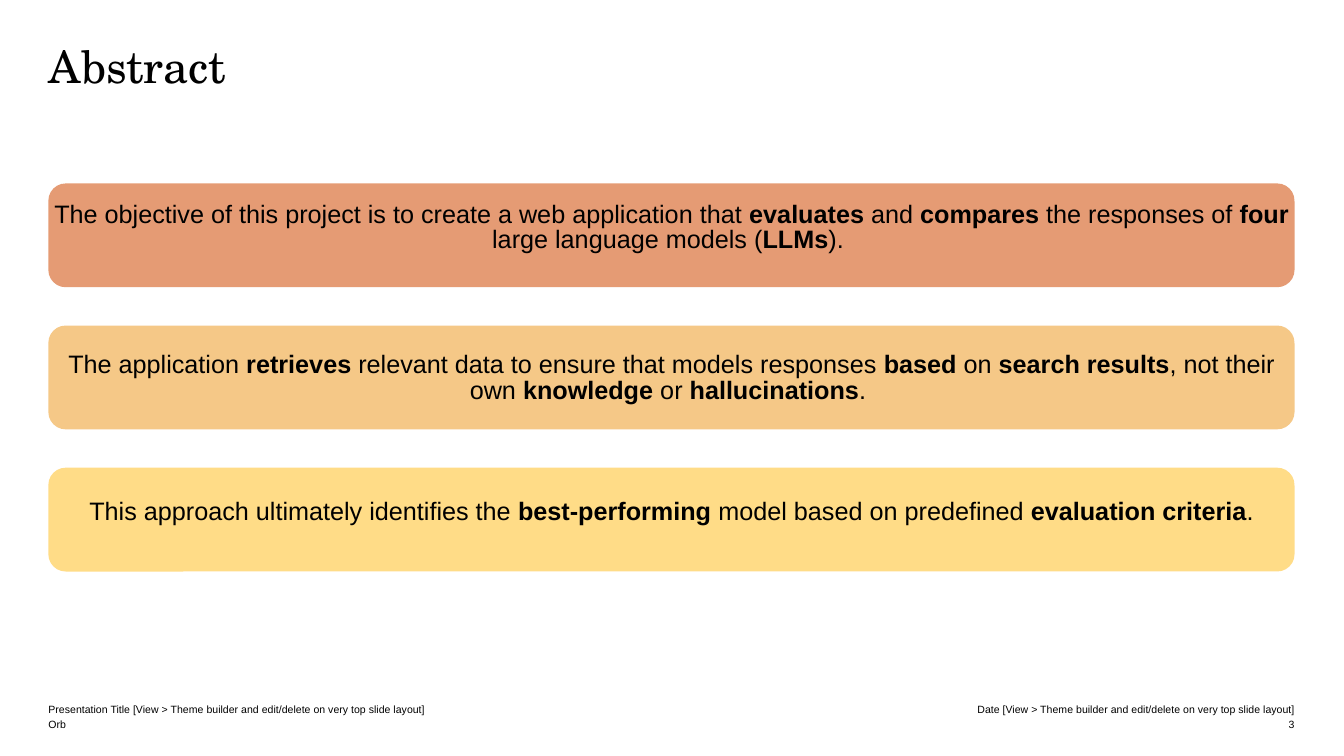
from dataclasses import dataclass

from lxml.etree import SubElement
from pptx import Presentation
from pptx.dml.color import RGBColor
from pptx.enum.shapes import MSO_SHAPE
from pptx.enum.text import MSO_ANCHOR, MSO_AUTO_SIZE, PP_ALIGN
from pptx.oxml.ns import qn
from pptx.slide import Slide
from pptx.text.text import TextFrame
from pptx.util import Inches, Pt


@dataclass(frozen=True)
class Theme:
    text: RGBColor = RGBColor(0x00, 0x00, 0x00)
    orange: RGBColor = RGBColor(0xD0, 0x4A, 0x02)
    tangerine: RGBColor = RGBColor(0xEB, 0x8C, 0x00)
    yellow: RGBColor = RGBColor(0xFF, 0xB6, 0x00)
    title_font: str = "TeX Gyre Schola"
    body_font: str = "Arial"
    title_size: float = 32
    body_size: float = 18
    footer_size: float = 7.5
    line_spacing: float = 0.85


@dataclass(frozen=True)
class Box:
    left: float
    top: float
    width: float
    height: float

    def lengths(self) -> tuple[int, ...]:
        return tuple(Inches(v) for v in (self.left, self.top, self.width, self.height))


@dataclass(frozen=True)
class Statement:
    """Text marks bold words with asterisks."""
    text: str
    color: RGBColor
    opacity: int
    text_offset: float


@dataclass(frozen=True)
class FooterItem:
    text: str
    row: int
    on_right: bool = False


THEME = Theme()

# Grid, in inches
SLIDE_WIDTH, SLIDE_HEIGHT = 13.33, 7.5
MARGIN, CONTENT_WIDTH = 0.48, 12.36
CARD_TOP, CARD_PITCH, CARD_HEIGHT = 1.82, 1.41, 1.03
CARD_TEXT_HEIGHT = 0.73
FOOTER_TOP, FOOTER_ROW = 6.95, 0.15
FOOTER_LEFT_WIDTH, FOOTER_RIGHT_WIDTH = 5.99, 3.86

STATEMENTS = [
    Statement("The objective of this project is to create a web application that *evaluates* and "
              "*compares* the responses of *four* large language models (*LLMs*). ",
              THEME.orange, 55, 0.19),
    Statement("The application *retrieves* relevant data to ensure that models responses *based* on "
              "*search results*, not their own *knowledge* or *hallucinations*. ",
              THEME.tangerine, 47, 0.27),
    Statement("This approach ultimately identifies the *best-performing* model based on predefined "
              "*evaluation criteria*.",
              THEME.yellow, 47, 0.32),
]

FOOTER_ITEMS = [
    FooterItem("Presentation Title [View > Theme builder and edit/delete on very top slide layout]", 0),
    FooterItem("Orb", 1),
    FooterItem("Date [View > Theme builder and edit/delete on very top slide layout]", 0, True),
    FooterItem("3", 1, True),
]


def write_text(frame: TextFrame, text: str, font_name: str, size: float,
               alignment: PP_ALIGN = PP_ALIGN.LEFT, anchor: MSO_ANCHOR = MSO_ANCHOR.TOP,
               line_spacing: float = 1.0) -> None:
    frame.word_wrap = True
    frame.auto_size = MSO_AUTO_SIZE.NONE
    frame.vertical_anchor = anchor
    frame.margin_left = frame.margin_right = frame.margin_top = frame.margin_bottom = 0
    paragraph = frame.paragraphs[0]
    paragraph.alignment = alignment
    paragraph.line_spacing = line_spacing
    paragraph.font.name = font_name
    paragraph.font.size = Pt(size)
    paragraph.font.color.rgb = THEME.text
    for index, part in enumerate(text.split("*")):
        run = paragraph.add_run()
        run.text = part
        if index % 2:
            run.font.bold = True


def add_title(slide: Slide, text: str) -> None:
    title = slide.shapes.title
    title.left, title.top, title.width, title.height = Box(MARGIN, 0.47, CONTENT_WIDTH, 0.42).lengths()
    write_text(title.text_frame, text, THEME.title_font, THEME.title_size,
               line_spacing=THEME.line_spacing)


def add_statement(slide: Slide, statement: Statement, row: int) -> None:
    top = CARD_TOP + row * CARD_PITCH
    card = slide.shapes.add_shape(MSO_SHAPE.ROUNDED_RECTANGLE,
                                  *Box(MARGIN, top, CONTENT_WIDTH, CARD_HEIGHT).lengths())
    card.shadow.inherit = False
    card.line.fill.background()
    card.fill.solid()
    card.fill.fore_color.rgb = statement.color
    color = card.fill._xPr.find(qn("a:solidFill")).find(qn("a:srgbClr"))
    SubElement(color, qn("a:alpha"), val=str(statement.opacity * 1000))

    text_box = slide.shapes.add_textbox(
        *Box(MARGIN, top + statement.text_offset, CONTENT_WIDTH, CARD_TEXT_HEIGHT).lengths())
    write_text(text_box.text_frame, statement.text, THEME.body_font, THEME.body_size,
               PP_ALIGN.CENTER, line_spacing=THEME.line_spacing)


def add_footer_item(slide: Slide, item: FooterItem) -> None:
    width = FOOTER_RIGHT_WIDTH if item.on_right else FOOTER_LEFT_WIDTH
    left = MARGIN + CONTENT_WIDTH - width if item.on_right else MARGIN
    top = FOOTER_TOP + item.row * FOOTER_ROW
    text_box = slide.shapes.add_textbox(*Box(left, top, width, FOOTER_ROW).lengths())
    write_text(text_box.text_frame, item.text, THEME.body_font, THEME.footer_size,
               PP_ALIGN.RIGHT if item.on_right else PP_ALIGN.LEFT, MSO_ANCHOR.BOTTOM)


def main() -> None:
    presentation = Presentation()
    presentation.slide_width = Inches(SLIDE_WIDTH)
    presentation.slide_height = Inches(SLIDE_HEIGHT)
    slide = presentation.slides.add_slide(presentation.slide_layouts.get_by_name("Title Only"))

    # Title
    add_title(slide, "Abstract")

    # Statement cards
    for row, statement in enumerate(STATEMENTS):
        add_statement(slide, statement, row)

    # Footer
    for item in FOOTER_ITEMS:
        add_footer_item(slide, item)

    presentation.save("out.pptx")


if __name__ == "__main__":
    main()
